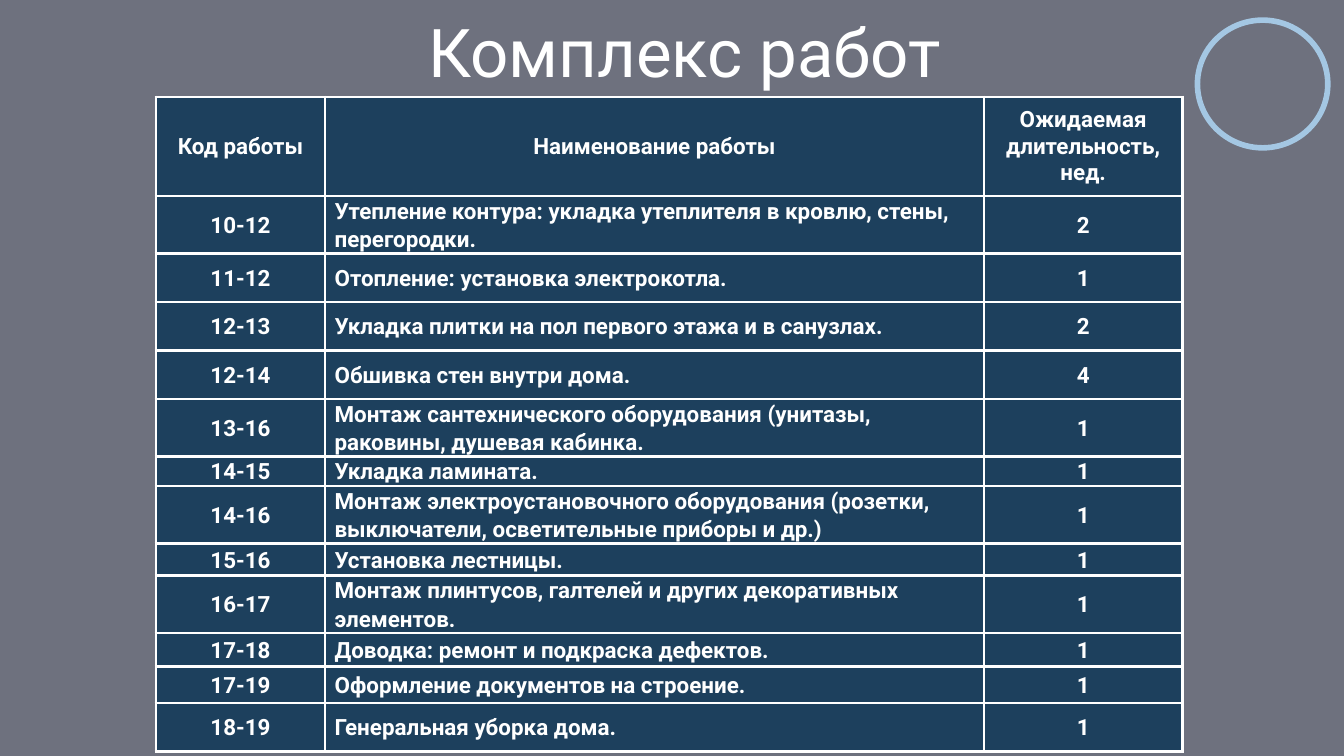
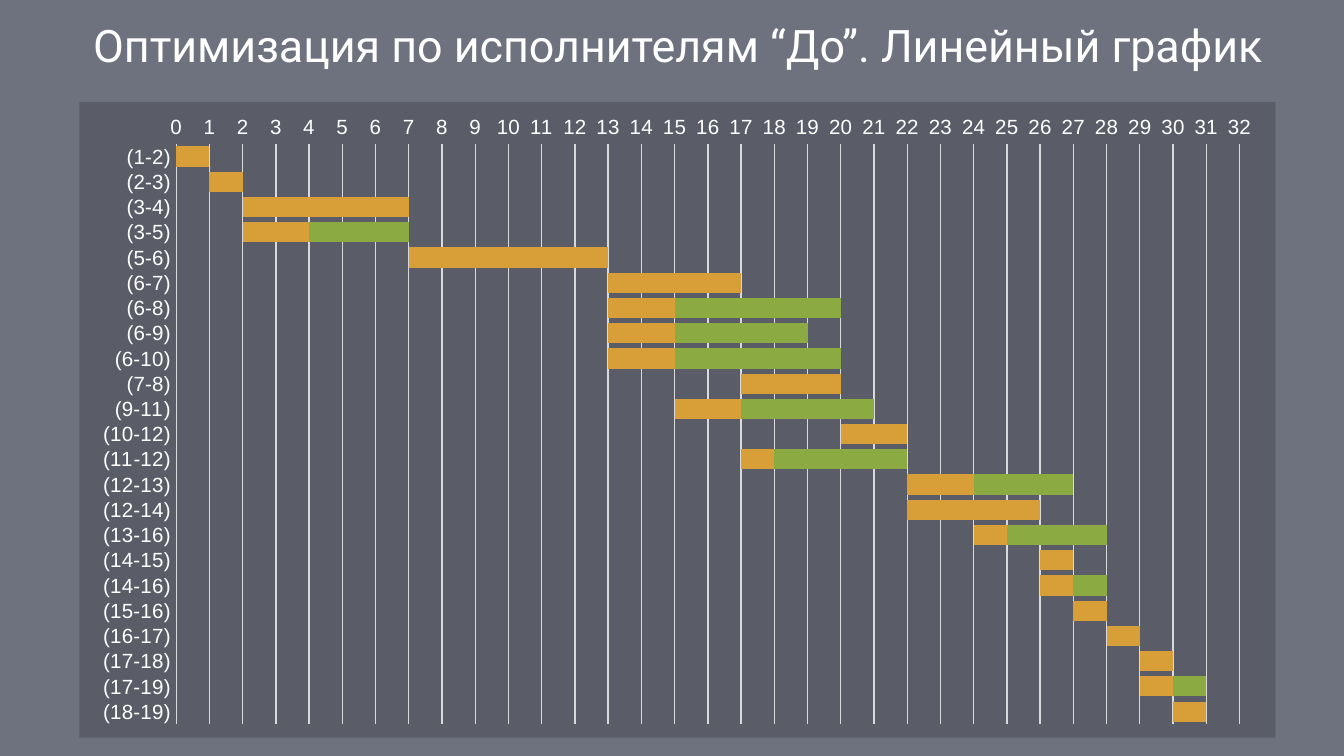
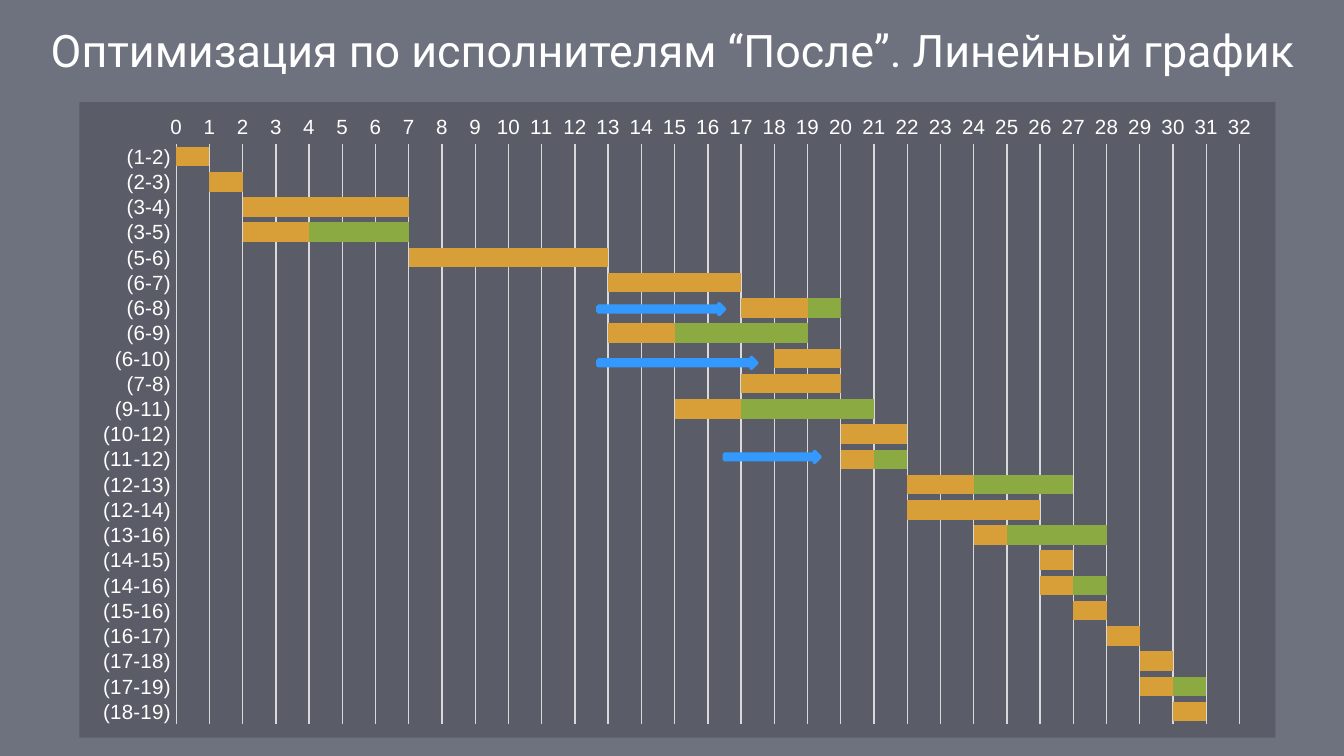
from dataclasses import dataclass

from lxml import etree
from pptx import Presentation
from pptx import util as u
from pptx.chart.data import CategoryChartData
from pptx.dml.color import RGBColor
from pptx.enum import chart as charts, shapes, text
from pptx.oxml import parse_xml
from pptx.oxml.ns import nsdecls, qn

IN = u.Inches
PT = u.Pt


@dataclass(frozen=True)
class Theme:
    veil: str = "212539"
    cell: str = "1D405D"
    panel: str = "0D0D0D"
    white: str = "FFFFFF"
    ring: str = "A4C7E3"
    arrow: str = "3399FF"
    work: str = "D89F39"
    slack: str = "8BAB42"
    grid: str = "D9D9D9"
    font: str = "Roboto"
    plain: str = "Arial"
    big: int = 36
    head: int = 24
    body: int = 12
    axis: int = 11


def paint(fill, color, alpha=None):
    fill.solid()
    fill.fore_color.rgb = RGBColor.from_string(color)
    if alpha is not None:
        tint = fill._xPr.find(".//" + qn("a:srgbClr"))
        etree.SubElement(tint, qn("a:alpha")).set("val", str(alpha * 1000))


def stroke(line, color, width):
    paint(line.fill, color)
    line.width = PT(width)


class Deck:
    def __init__(self, theme):
        self.theme = theme
        self.prs = Presentation()
        self.prs.slide_width = IN(10)
        self.prs.slide_height = IN(5.625)
        self.blank = self.prs.slide_layouts[6]
        self.slide = None

    def start(self):
        first = self.slide is None
        self.slide = self.prs.slides.add_slide(self.blank)
        if first:
            veil = self.shape("RECTANGLE", (0, 0, 10, 5.625), self.theme.veil, alpha=65)
            self.blank.shapes.element.append(veil._element)

    def shape(self, kind, box, fill=None, line=None, width=2, alpha=None):
        item = self.slide.shapes.add_shape(shapes.MSO_SHAPE[kind], *map(IN, box))
        item.shadow.inherit = False
        if fill:
            paint(item.fill, fill, alpha)
        else:
            item.fill.background()
        if line:
            stroke(item.line, line, width)
        else:
            item.line.fill.background()
        return item

    def add_words(self, para, words, size, bold=False, center=True):
        para.alignment = text.PP_ALIGN.CENTER if center else text.PP_ALIGN.LEFT
        run = para.add_run()
        run.text = words
        run.font.name = self.theme.font
        run.font.size = PT(size)
        run.font.bold = bold
        run.font.color.rgb = RGBColor.from_string(self.theme.white)

    def title(self, words, box, size):
        frame = self.slide.shapes.add_textbox(*map(IN, box)).text_frame
        frame.word_wrap = True
        frame.vertical_anchor = text.MSO_ANCHOR.BOTTOM
        frame.margin_left = frame.margin_right = IN(0.1)
        frame.margin_top = frame.margin_bottom = IN(0.1)
        self.add_words(frame.paragraphs[0], words, size)

    def cell(self, cell, words, head, center):
        side, edge = (0.1, 0.07) if head else (0.07, 0)
        cell.margin_left = cell.margin_right = IN(side)
        cell.margin_top = cell.margin_bottom = IN(edge)
        cell.vertical_anchor = text.MSO_ANCHOR.MIDDLE
        para = cell.text_frame.paragraphs[0]
        if not head:
            para.line_spacing = 1.07
        self.add_words(para, words, self.theme.body, True, center)
        props = cell._tc.get_or_add_tcPr()
        for name in ("lnL", "lnR", "lnT", "lnB"):
            props.append(parse_xml(
                f'<a:{name} {nsdecls("a")} w="{PT(1.5)}"><a:solidFill>'
                f'<a:srgbClr val="{self.theme.white}"/></a:solidFill></a:{name}>'))
        paint(cell.fill, self.theme.cell, 50)

    def table(self, rows, box, widths, heights):
        table = self.slide.shapes.add_table(
            len(rows), len(widths), *map(IN, box)).table
        table.first_row = table.horz_banding = False
        for col, width in zip(table.columns, widths):
            col.width = IN(width)
        for y, (row, height) in enumerate(zip(rows, heights)):
            table.rows[y].height = IN(height)
            for x, words in enumerate(row):
                self.cell(table.cell(y, x), words, y == 0, y == 0 or x != 1)

    def label(self, font, size):
        font.name = self.theme.plain
        font.size = PT(size)
        font.color.rgb = RGBColor.from_string(self.theme.white)

    def gantt(self, tasks, box, gap):
        theme = self.theme
        names, *spans = zip(*tasks)
        data = CategoryChartData(number_format="0")
        data.categories = names
        for count, span in enumerate(spans, 1):
            data.add_series(f"Series {count}", span)
        chart = self.slide.shapes.add_chart(
            charts.XL_CHART_TYPE.BAR_STACKED, *map(IN, box), data).chart
        chart.has_legend = chart.has_title = False
        self.label(chart.font, 10)

        plot = chart.plots[0]
        plot.gap_width, plot.overlap = gap, 100
        plot.vary_by_categories = False
        for series, color in zip(plot.series, (None, theme.work, theme.slack)):
            if color:
                paint(series.format.fill, color)
            else:
                series.format.fill.background()

        tasks_axis, weeks = chart.category_axis, chart.value_axis
        for axis in (tasks_axis, weeks):
            axis.major_tick_mark = axis.minor_tick_mark = charts.XL_TICK_MARK.NONE
            self.label(axis.tick_labels.font, theme.axis)
        tasks_axis.reverse_order = True
        tasks_axis.has_major_gridlines = False
        stroke(tasks_axis.format.line, theme.grid, 0.75)
        weeks.minimum_scale, weeks.maximum_scale, weeks.major_unit = 0, 32, 1
        weeks.tick_labels.number_format = "0"
        weeks.tick_labels.number_format_is_linked = False
        weeks.format.line.fill.background()
        stroke(weeks.major_gridlines.format.line, theme.grid, 0.75)
        self.panel(chart)

    def panel(self, chart):
        body = chart._chartSpace.find(qn("c:chart"))
        body.addnext(parse_xml(
            f'<c:spPr {nsdecls("c", "a")}><a:solidFill>'
            f'<a:srgbClr val="{self.theme.panel}"><a:alpha val="20000"/></a:srgbClr>'
            '</a:solidFill><a:ln><a:noFill/></a:ln></c:spPr>'))
        area = body.find(qn("c:plotArea"))
        for old in area.findall(qn("c:layout")):
            area.remove(old)
        place = dict(x=0.081, y=0.066, w=0.889, h=0.913)
        modes = "".join(f'<c:{key}Mode val="edge"/>' for key in "xy")
        sizes = "".join(f'<c:{key} val="{val}"/>' for key, val in place.items())
        area.insert(0, parse_xml(
            f'<c:layout {nsdecls("c")}><c:manualLayout>'
            f'<c:layoutTarget val="inner"/>{modes}{sizes}'
            '</c:manualLayout></c:layout>'))


JOBS = [
    ("Код работы", "Наименование работы", "Ожидаемая длительность, нед."),
    ("10-12", "Утепление контура: укладка утеплителя в кровлю, стены, перегородки.", "2"),
    ("11-12", "Отопление: установка электрокотла.", "1"),
    ("12-13", "Укладка плитки на пол первого этажа и в санузлах.", "2"),
    ("12-14", "Обшивка стен внутри дома.", "4"),
    ("13-16", "Монтаж сантехнического оборудования (унитазы, раковины, душевая кабинка.", "1"),
    ("14-15", "Укладка ламината.", "1"),
    ("14-16", "Монтаж электроустановочного оборудования (розетки, выключатели, "
              "осветительные приборы и др.)", "1"),
    ("15-16", "Установка лестницы.", "1"),
    ("16-17", "Монтаж плинтусов, галтелей и других декоративных элементов.", "1"),
    ("17-18", "Доводка: ремонт и подкраска дефектов.", "1"),
    ("17-19", "Оформление документов на строение.", "1"),
    ("18-19", "Генеральная уборка дома.", "1"),
]
WIDTHS = [1.26, 4.9, 1.48]
HEIGHTS = [0.62, 0.27, 0.36, 0.36, 0.36, 0.36, 0.22, 0.36, 0.24, 0.36, 0.25, 0.27, 0.36]

TASKS = [
    ("(1-2)", 0, 1, 0), ("(2-3)", 1, 1, 0), ("(3-4)", 2, 5, 0),
    ("(3-5)", 2, 2, 3), ("(5-6)", 7, 6, 0), ("(6-7)", 13, 4, 0),
    ("(6-8)", 13, 2, 5), ("(6-9)", 13, 2, 4), ("(6-10)", 13, 2, 5),
    ("(7-8)", 17, 3, 0), ("(9-11)", 15, 2, 4), ("(10-12)", 20, 2, 0),
    ("(11-12)", 17, 1, 4), ("(12-13)", 22, 2, 3), ("(12-14)", 22, 4, 0),
    ("(13-16)", 24, 1, 3), ("(14-15)", 26, 1, 0), ("(14-16)", 26, 1, 1),
    ("(15-16)", 27, 1, 0), ("(16-17)", 28, 1, 0), ("(17-18)", 29, 1, 0),
    ("(17-19)", 29, 1, 1), ("(18-19)", 30, 1, 0),
]
SHIFTS = {"(6-8)": 4, "(6-10)": 5, "(11-12)": 3}
ARROWS = [(4.45, 2.26, 0.94), (4.45, 2.66, 1.18), (5.39, 3.36, 0.71)]
CHART = (0.59, 0.76, 8.9, 4.73)


def delay(task):
    name, start, work, slack = task
    shift = SHIFTS.get(name, 0)
    return name, start + shift, work, slack - shift


def main():
    theme = Theme()
    deck = Deck(theme)

    deck.start()
    deck.title("Комплекс работ", (2.4, 0.15, 5.39, 0.63), theme.big)
    deck.shape("OVAL", (8.91, 0.15, 0.97, 0.95), line=theme.ring, width=3)
    deck.table(JOBS, (1.16, 0.72, 7.64, 4.82), WIDTHS, HEIGHTS)

    deck.start()
    deck.title("Оптимизация по исполнителям “До”. Линейный график",
               (0.24, 0, 9.61, 0.63), theme.head)
    deck.gantt(TASKS, CHART, 25)

    deck.start()
    deck.title("Оптимизация по исполнителям “После”. Линейный график",
               (0.2, 0.04, 9.61, 0.63), theme.head)
    deck.gantt([delay(task) for task in TASKS], CHART, 29)
    for left, top, width in ARROWS:
        deck.shape("RIGHT_ARROW", (left, top, width, 0.08), theme.arrow, theme.arrow)

    deck.prs.save("out.pptx")


if __name__ == "__main__":
    main()
